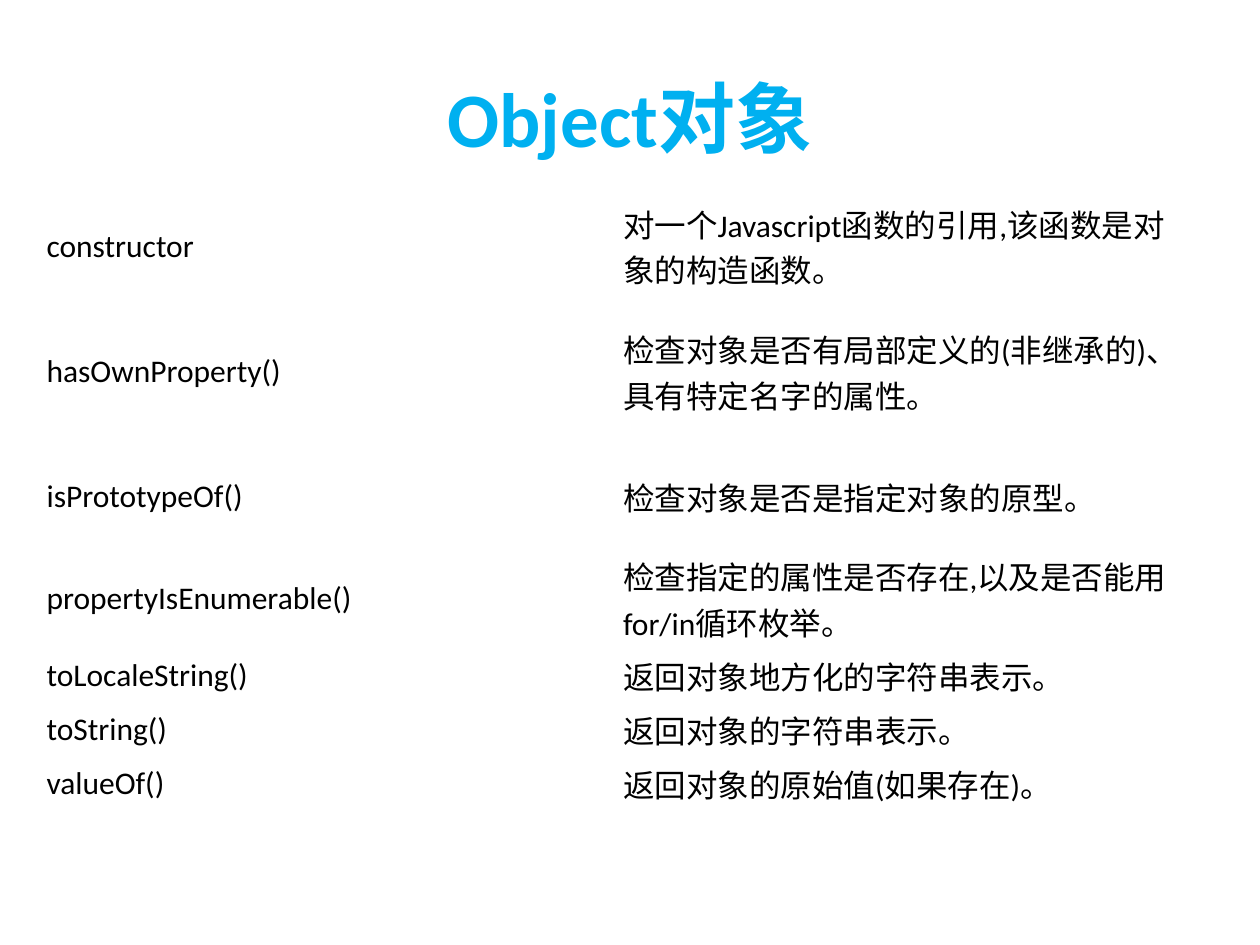
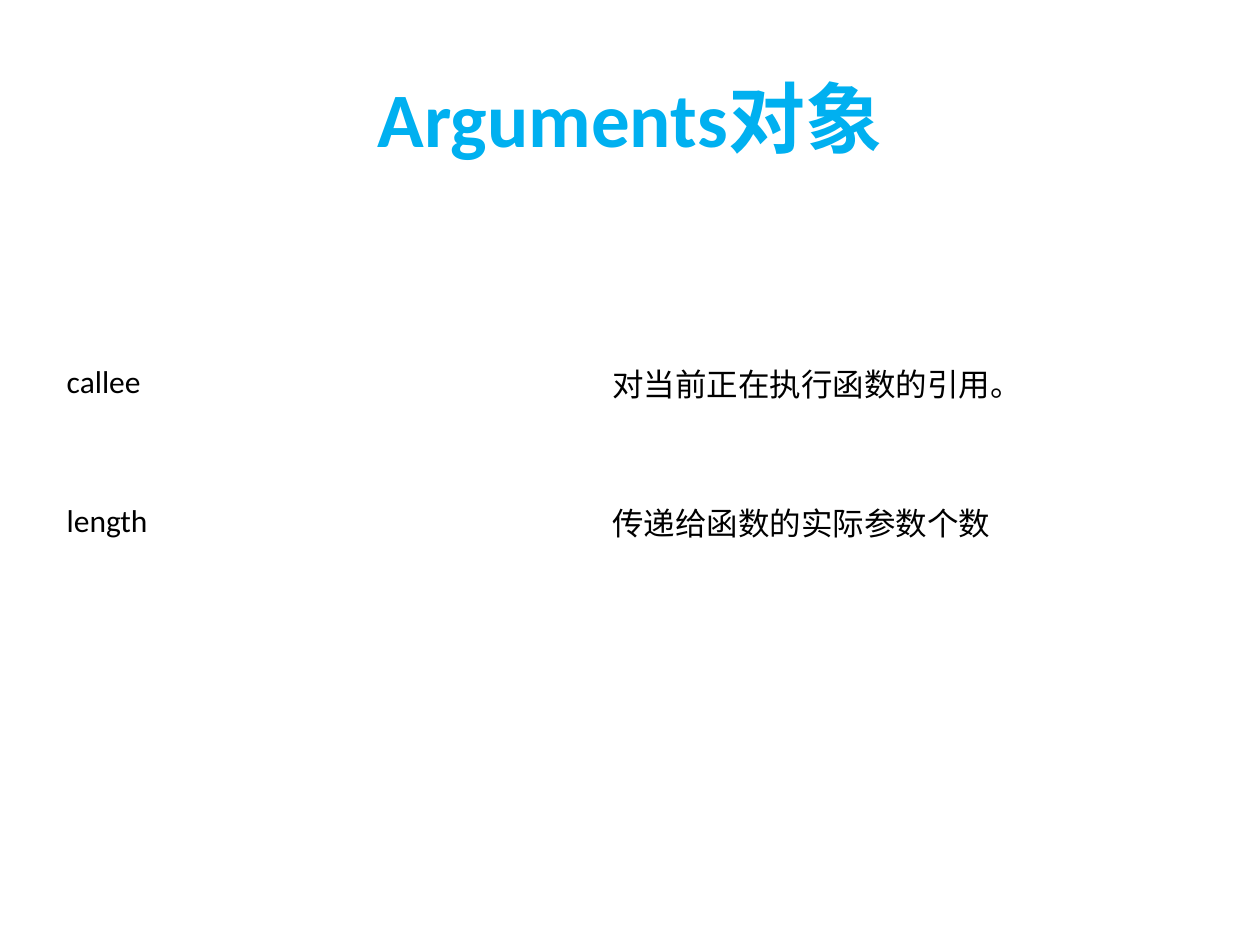
from dataclasses import dataclass

from pptx import Presentation
from pptx.dml.color import RGBColor as Rgb
from pptx.enum.text import MSO_ANCHOR as Anchor, PP_ALIGN as Align
from pptx.util import Inches, Pt

# Content: places are percentages of the slide's width and height
SLIDES = [
    {
        "title": "Object对象",
        "left": 3.5, "top": 20.67, "width": 91.5,
        "rows": [
            (10.8, "constructor", "对一个Javascript函数的引用,该函数是对象的构造函数。"),
            (15.73, "hasOwnProperty()", "检查对象是否有局部定义的(非继承的)、具有特定名字的属性。"),
            (10.8, "isPrototypeOf()", "检查对象是否是指定对象的原型。"),
            (10.67, "propertyIsEnumerable()", "检查指定的属性是否存在,以及是否能用for/in循环枚举。"),
            (5.73, "toLocaleString()", "返回对象地方化的字符串表示。"),
            (5.73, "toString()", "返回对象的字符串表示。"),
            (5.73, "valueOf()", "返回对象的原始值(如果存在)。"),
        ],
    },
    {
        "title": "Arguments对象",
        "left": 5.1, "top": 33.2, "width": 86.6,
        "rows": [
            (14.67, "callee", "对当前正在执行函数的引用。"),
            (14.67, "length", "传递给函数的实际参数个数"),
        ],
    },
]
TITLE_PLACE = {"left": 5, "top": 4, "width": 90, "height": 16.67}


@dataclass(frozen=True)
class Theme:
    font: str = "Calibri"
    title_color: Rgb = Rgb(0x00, 0xB0, 0xF0)
    text_color: Rgb = Rgb(0, 0, 0)
    title_size: int = 44
    text_size: int = 18
    cell_margin: float = 0.02


THEME = Theme()
deck = Presentation()
deck.slide_width, deck.slide_height = Inches(10), Inches(7.5)


def across(percent):
    return round(deck.slide_width * percent / 100)


def down(percent):
    return round(deck.slide_height * percent / 100)


def write(frame, text, size=THEME.text_size, color=THEME.text_color,
          bold=False, align=Align.LEFT):
    para = frame.paragraphs[0]
    para.alignment = align
    span = para.add_run()
    span.text = text
    font = span.font
    font.name, font.size, font.bold = THEME.font, Pt(size), bold
    font.color.rgb = color


def add_title(page, text):
    box = page.shapes.title
    box.left, box.width = across(TITLE_PLACE["left"]), across(TITLE_PLACE["width"])
    box.top, box.height = down(TITLE_PLACE["top"]), down(TITLE_PLACE["height"])
    box.text_frame.vertical_anchor = Anchor.MIDDLE
    write(box.text_frame, text, size=THEME.title_size, color=THEME.title_color,
          bold=True, align=Align.CENTER)


def add_member_table(page, left, top, width, rows):
    height = sum(row[0] for row in rows)
    table = page.shapes.add_table(len(rows), 2, across(left), down(top),
                                  across(width), down(height)).table
    table.first_row = table.horz_banding = False
    for column in table.columns:
        column.width = across(width / 2)
    for index, (row_height, *texts) in enumerate(rows):
        table.rows[index].height = down(row_height)
        for cell, text in zip(table.rows[index].cells, texts):
            cell.fill.background()
            cell.vertical_anchor = Anchor.MIDDLE
            margin = Inches(THEME.cell_margin)
            cell.margin_left = cell.margin_right = margin
            cell.margin_top = cell.margin_bottom = margin
            write(cell.text_frame, text)


# Each page holds a title and a two-column table of members
for content in SLIDES:
    page = deck.slides.add_slide(deck.slide_layouts[0])
    subtitle = page.placeholders[1].element
    subtitle.getparent().remove(subtitle)
    add_title(page, content["title"])
    add_member_table(page, content["left"], content["top"], content["width"],
                     content["rows"])

deck.save("out.pptx")
